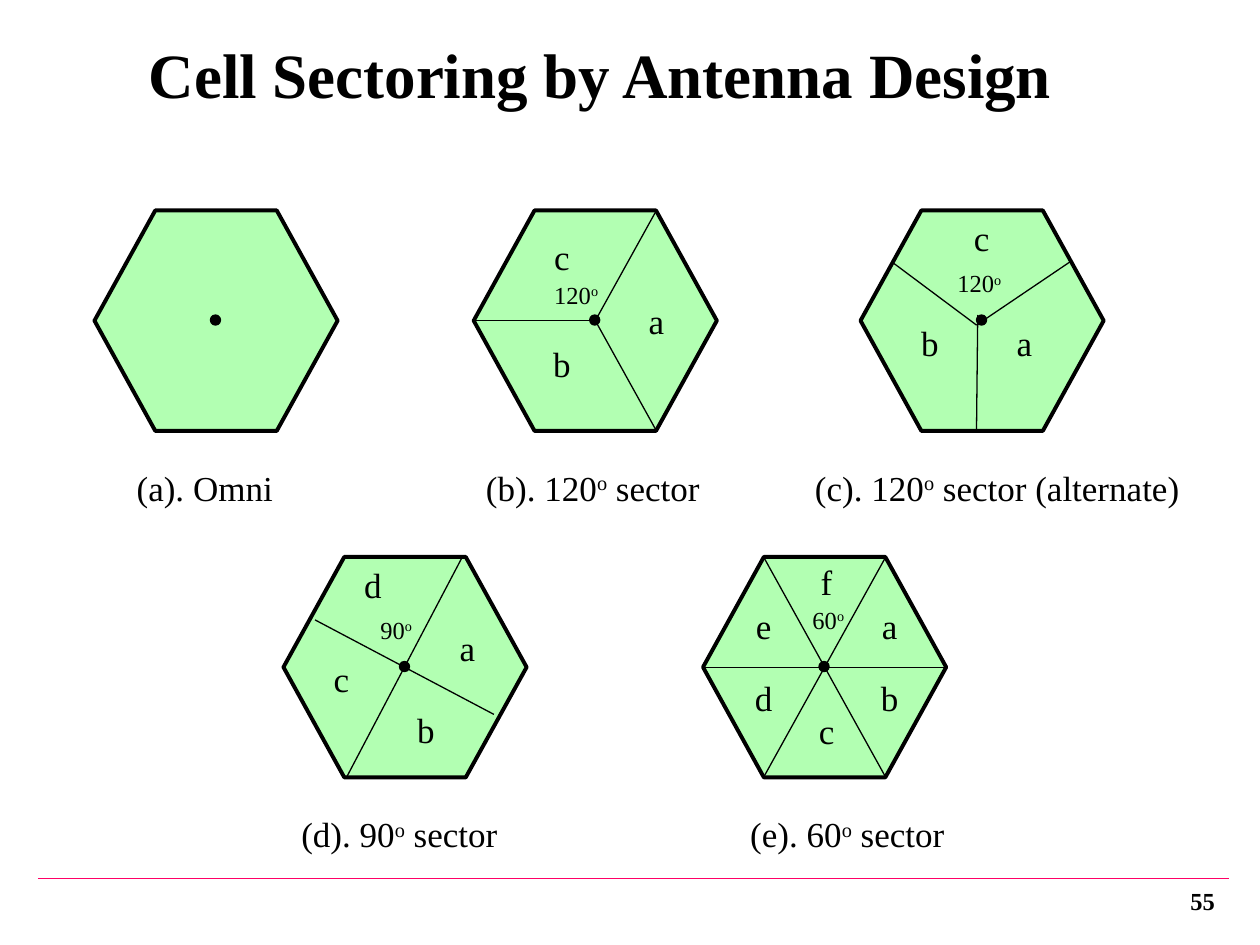
from lxml import etree
from pptx import Presentation
from pptx import util as u
from pptx.dml.color import RGBColor
from pptx.enum import shapes, text
from pptx.oxml.ns import qn

# ---- Content ----
COLORS = {"ink": "000000", "cell": "66FF66", "rule": "FF0066"}
FONT = "Times New Roman"
TITLE = "Cell Sectoring by Antenna Design"
PAGE = "55"

CELL_W, CELL_H = 1.93, 1.75
INSET = 0.48                      # horizontal inset of the top and bottom corners
MID_X, MID_Y = CELL_W / 2, CELL_H / 2
RIGHT = CELL_W - INSET
DOT = 0.08
LABEL_W, LABEL_H = 0.42, 0.43
ROW_TOPS = (1.67, 4.42)
CAPTION_DROP = 1.98               # from the top of a cell to its caption

# Text between ^ marks is superscript. Positions are offsets from a cell's corner.
# "caption" is (text, left, width); "angle" is (text, dx, dy, width).
CELLS = [
    {"left": 0.75, "row": 0, "caption": ("(a). Omni", 0.75, 1.75)},
    {"left": 3.76, "row": 0, "caption": ("(b). 120^o^ sector", 3.58, 2.25),
     "angle": ("120^o^", 0.54, 0.5, 0.7),
     "lines": [(0, MID_Y, MID_X, MID_Y), (MID_X, MID_Y, RIGHT, 0),
               (MID_X, MID_Y, RIGHT, CELL_H)],
     "labels": {"a": (1.24, 0.66), "b": (0.49, 1), "c": (0.49, 0.15)}},
    {"left": 6.83, "row": 0, "caption": ("(c). 120^o^ sector (alternate)", 6.25, 3.33),
     "angle": ("120^o^", 0.67, 0.41, 0.7),
     "lines": [(0.25, 0.41, 0.92, 0.91), (0.92, 0.91, 1.66, 0.41),
               (0.93, 0.83, 0.92, CELL_H)],
     "labels": {"a": (1.09, 0.83), "b": (0.34, 0.83), "c": (0.75, 0)}},
    {"left": 2.25, "row": 1, "caption": ("(d). 90^o^ sector", 2.17, 2),
     "angle": ("90^o^", 0.67, 0.41, 0.56),
     "lines": [(0.25, 0.5, 1.67, 1.25), (0.5, CELL_H, 1.42, 0)],
     "labels": {"a": (1.25, 0.5), "b": (0.92, 1.15), "c": (0.25, 0.75), "d": (0.5, 0)}},
    {"left": 5.58, "row": 1, "caption": ("(e). 60^o^ sector", 5.6, 2.25),
     "angle": ("60^o^", 0.77, 0.33, 0.56),
     "lines": [(0, MID_Y, CELL_W, MID_Y), (INSET, CELL_H, RIGHT, 0),
               (INSET, 0, RIGHT, CELL_H)],
     "labels": {"a": (1.27, 0.33), "b": (1.27, 0.9), "c": (0.77, 1.16),
                "d": (0.27, 0.9), "e": (0.27, 0.33), "f": (0.77, -0.02)}},
]


# ---- Helpers ----
def color(name):
    return RGBColor.from_string(COLORS[name])


def style(paragraph, size, align, bold=False):
    paragraph.alignment = align
    font = paragraph.font
    font.name, font.size, font.bold = FONT, u.Pt(size), bold
    font.color.rgb = color("ink")


def add_text(slide, content, left, top, width, height, size=20,
             align=text.PP_ALIGN.CENTER, bold=False):
    box = slide.shapes.add_textbox(*map(u.Inches, (left, top, width, height)))
    box.text_frame.word_wrap = True
    paragraph = box.text_frame.paragraphs[0]
    style(paragraph, size, align, bold)
    for index, part in enumerate(content.split("^")):
        if part:
            run = paragraph.add_run()
            run.text = part
            if index % 2:
                run._r.get_or_add_rPr().set("baseline", "30000")
    return box


def add_line(slide, x1, y1, x2, y2, line_color="ink"):
    line = slide.shapes.add_connector(shapes.MSO_CONNECTOR.STRAIGHT,
                                      *map(u.Inches, (x1, y1, x2, y2)))
    line.line.color.rgb = color(line_color)
    line.line.width = u.Pt(0.75)
    etree.SubElement(line._element.spPr, qn("a:effectLst"))


def add_filled(slide, kind, left, top, width, height, fill, line_width):
    shape = slide.shapes.add_shape(kind, *map(u.Inches, (left, top, width, height)))
    shape.shadow.inherit = False
    shape.fill.solid()
    shape.fill.fore_color.rgb = color(fill)
    shape.line.color.rgb = color("ink")
    shape.line.width = u.Pt(line_width)
    return shape


def add_cell(slide, cell):
    left, top = cell["left"], ROW_TOPS[cell["row"]]

    # Half-transparent hexagon
    hexagon = add_filled(slide, shapes.MSO_SHAPE.HEXAGON, left, top,
                         CELL_W, CELL_H, "cell", 2.25)
    hexagon.adjustments[0] = 0.276
    fill = hexagon._element.spPr.find(qn("a:solidFill"))
    etree.SubElement(fill[0], qn("a:alpha"), val="50000")

    # Sector borders and antenna
    for x1, y1, x2, y2 in cell.get("lines", []):
        add_line(slide, left + x1, top + y1, left + x2, top + y2)
    add_filled(slide, shapes.MSO_SHAPE.OVAL, left + 0.92, top + 0.83,
               DOT, DOT, "ink", 0.75)

    # Angle, sector letters and caption
    if "angle" in cell:
        content, dx, dy, width = cell["angle"]
        add_text(slide, content, left + dx, top + dy, width, 0.33, 14,
                 text.PP_ALIGN.LEFT)
    for letter, (dx, dy) in cell.get("labels", {}).items():
        add_text(slide, letter, left + dx, top + dy, LABEL_W, LABEL_H)
    content, caption_left, width = cell["caption"]
    add_text(slide, content, caption_left, top + CAPTION_DROP, width, LABEL_H)


def main():
    presentation = Presentation()
    presentation.slide_width, presentation.slide_height = u.Inches(10), u.Inches(7.5)
    slide = presentation.slides.add_slide(presentation.slide_layouts[5])

    # Title
    title = slide.shapes.title
    title.left, title.top, title.width, title.height = map(
        u.Inches, (1.08, 0.17, 8.5, 0.83))
    title.text_frame.text = TITLE
    title.text_frame.vertical_anchor = text.MSO_ANCHOR.MIDDLE
    style(title.text_frame.paragraphs[0], 36, text.PP_ALIGN.LEFT, True)

    # Footer rule and page number
    add_line(slide, 0.3, 6.97, 9.75, 6.97, "rule")
    number = add_text(slide, PAGE, 8.83, 6.95, 0.91, 0.4, 14,
                      text.PP_ALIGN.RIGHT, True)
    number.text_frame.vertical_anchor = text.MSO_ANCHOR.MIDDLE

    for cell in CELLS:
        add_cell(slide, cell)
    presentation.save("out.pptx")


if __name__ == "__main__":
    main()
